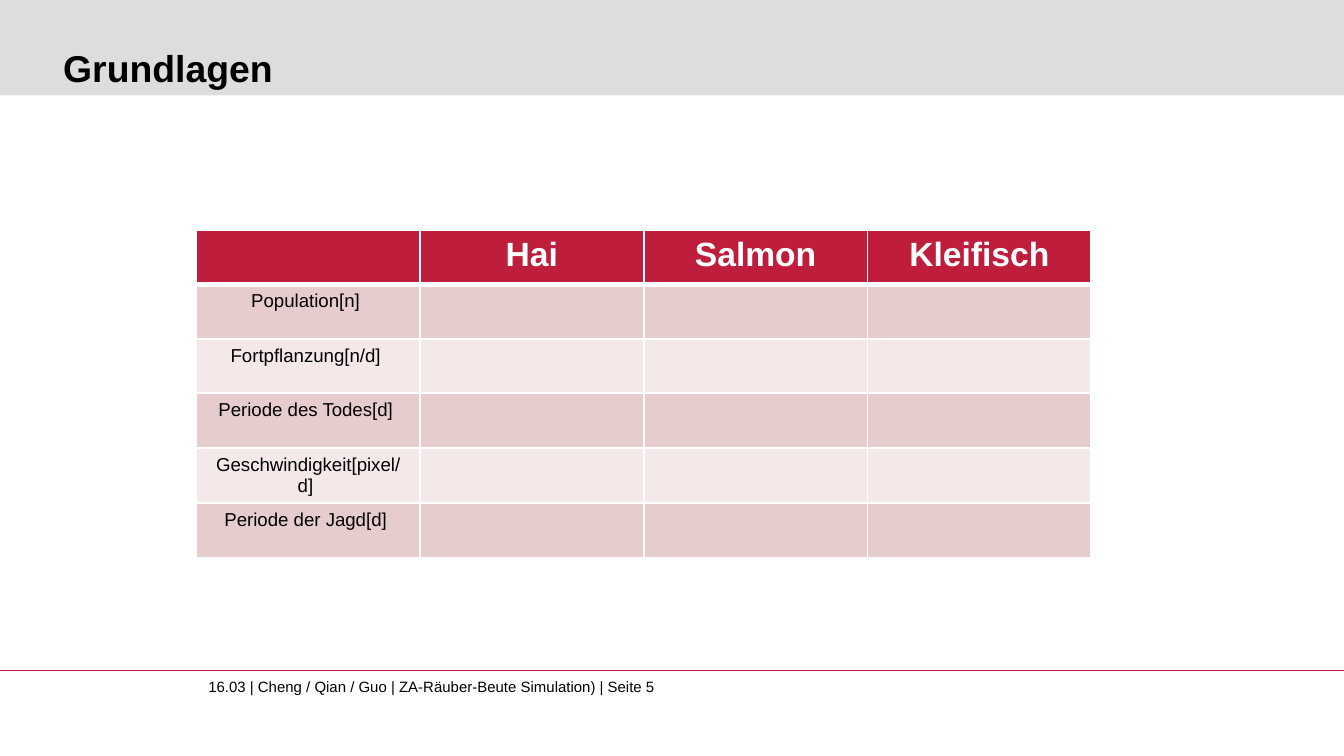
from lxml.etree import SubElement
from pptx import Presentation
from pptx.dml.color import RGBColor
from pptx.enum.shapes import MSO_CONNECTOR, MSO_SHAPE
from pptx.enum.text import MSO_ANCHOR, PP_ALIGN
from pptx.oxml import parse_xml
from pptx.oxml.ns import nsdecls, qn
from pptx.util import Inches, Pt

TITLE = "Grundlagen"
FOOTER = "16.03 | Cheng / Qian / Guo | ZA-Räuber-Beute Simulation) | Seite 5"
HEADS = ["", "Hai", "Salmon", "Kleifisch"]
LABELS = ["Population[n] ", "Fortpflanzung[n/d] ", "Periode des Todes[d] ",
          "Geschwindigkeit[pixel/d] ", "Periode der Jagd[d] "]
RED, GREY, WHITE, BLACK = "BE1E3C", "DDDDDD", "FFFFFF", "000000"
BANDS = ["E7CCCE", "F4E8E8"]
WIDE = 10
HIGH = WIDE * 9 / 16
LEFT, TOP, SPAN, DEEP = 1.46, 1.71, 6.66, 2.43
RULE = 4.99


def paint(form, color):
    form.fill.solid()
    form.fill.fore_color.rgb = RGBColor.from_string(color)


def write(frame, text, size=10, color=BLACK, bold=False, align=PP_ALIGN.LEFT):
    para = frame.paragraphs[0]
    para.alignment = align
    run = para.add_run()
    run.text = text
    font = run.font
    font.name, font.size, font.bold = "Arial", Pt(size), bold
    font.color.rgb = RGBColor.from_string(color)


def clear(frame, anchor=MSO_ANCHOR.TOP):
    frame.word_wrap = True
    frame.vertical_anchor = anchor
    frame.margin_left = frame.margin_right = 0
    frame.margin_top = frame.margin_bottom = 0


def edge(cell, top=1, bottom=1):
    props = cell._tc.get_or_add_tcPr()
    sides = [("L", 1), ("R", 1), ("T", top), ("B", bottom)]
    for spot, (side, width) in enumerate(sides):
        props.insert(spot, parse_xml(
            f'<a:ln{side} {nsdecls("a")} w="{Pt(width)}"><a:solidFill>'
            f'<a:srgbClr val="{WHITE}"/></a:solidFill></a:ln{side}>'))


def add_head(slide):
    title = slide.shapes.title
    title.left, title.top = Inches(0.47), Inches(0.09)
    title.width, title.height = Inches(9.16), Inches(0.58)
    clear(title.text_frame, MSO_ANCHOR.BOTTOM)
    write(title.text_frame, TITLE, size=20, bold=True)
    band = slide.shapes.add_shape(MSO_SHAPE.RECTANGLE, 0, 0, Inches(WIDE), Inches(0.71))
    band.shadow.inherit = False
    paint(band, GREY)
    band.line.fill.background()
    title.element.addprevious(band.element)


def add_foot(slide):
    rule = slide.shapes.add_connector(
        MSO_CONNECTOR.STRAIGHT, 0, Inches(RULE), Inches(WIDE), Inches(RULE))
    rule.line.color.rgb = RGBColor.from_string(RED)
    rule.line.width = Pt(0.75)
    SubElement(rule.element.spPr, qn("a:effectLst"))
    box = slide.shapes.add_textbox(
        Inches(1.55), Inches(RULE + 0.05), Inches(4.87), Inches(0.27))
    clear(box.text_frame)
    write(box.text_frame, FOOTER, size=8)


def add_grid(slide):
    rows = [HEADS] + [[label, "", "", ""] for label in LABELS]
    table = slide.shapes.add_table(
        len(rows), len(HEADS), Inches(LEFT), Inches(TOP),
        Inches(SPAN), Inches(DEEP)).table
    for r, row in enumerate(rows):
        head = r == 0
        look = dict(size=18, color=WHITE, bold=True) if head else dict(size=10)
        for c, text in enumerate(row):
            cell = table.cell(r, c)
            paint(cell, RED if head else BANDS[(r - 1) % 2])
            edge(cell, top=3 if r == 1 else 1, bottom=3 if head else 1)
            if text:
                write(cell.text_frame, text, align=PP_ALIGN.CENTER, **look)


def main():
    """Build the slide with its title band, table and footer."""
    deck = Presentation()
    deck.slide_width, deck.slide_height = Inches(WIDE), Inches(HIGH)
    slide = deck.slides.add_slide(deck.slide_layouts[5])
    add_head(slide)
    add_grid(slide)
    add_foot(slide)
    deck.save("out.pptx")


if __name__ == "__main__":
    main()
